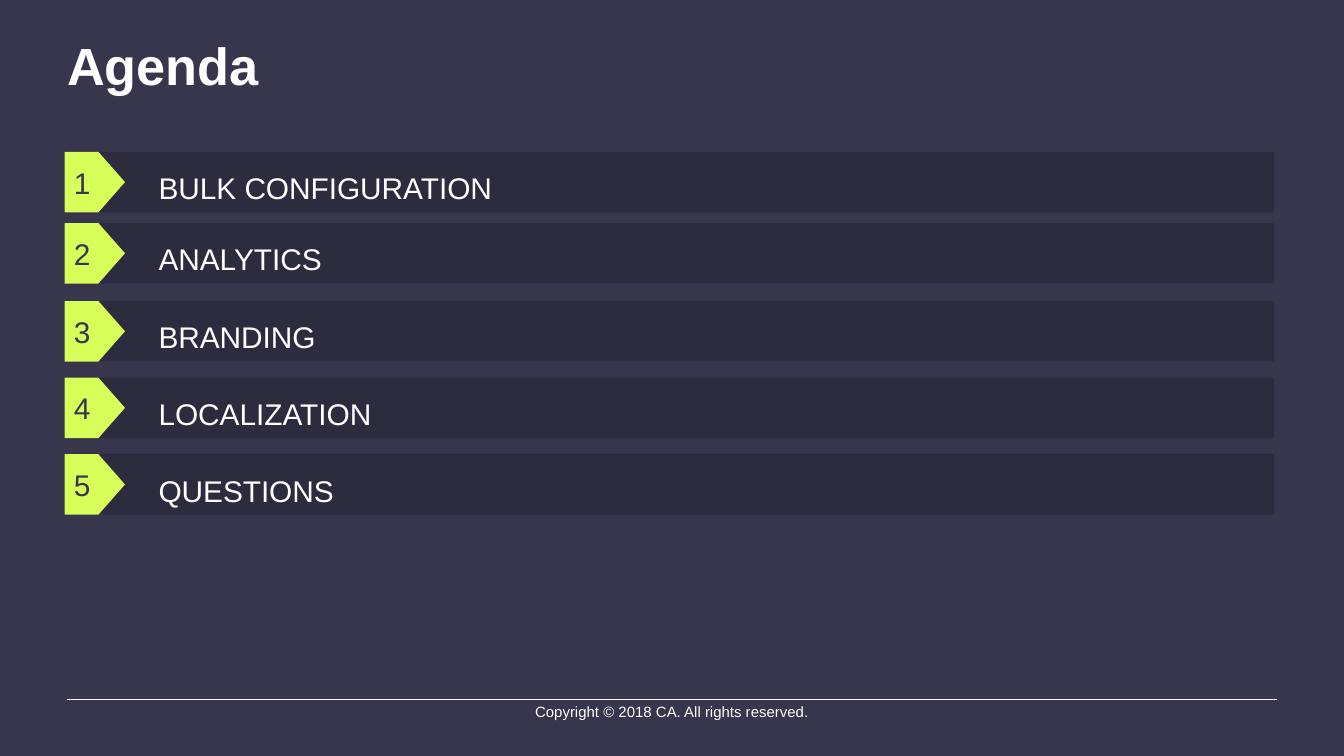
"""Build the agenda slide: a title, five numbered bars and a copyright footer."""
from lxml import etree
from pptx import Presentation
from pptx.dml.color import RGBColor
from pptx.enum.shapes import MSO_CONNECTOR, MSO_SHAPE
from pptx.enum.text import MSO_ANCHOR, MSO_AUTO_SIZE, PP_ALIGN
from pptx.oxml.ns import qn
from pptx.util import Inches, Pt

BAR, ARROW = MSO_SHAPE.RECTANGLE, MSO_SHAPE.PENTAGON
STRAIGHT = MSO_CONNECTOR.STRAIGHT
TOP, MIDDLE = MSO_ANCHOR.TOP, MSO_ANCHOR.MIDDLE
LEFT, CENTER = PP_ALIGN.LEFT, PP_ALIGN.CENTER
GROW = MSO_AUTO_SIZE.SHAPE_TO_FIT_TEXT

TITLE = "Agenda"
TOPICS = ["BULK CONFIGURATION", "ANALYTICS", "BRANDING", "LOCALIZATION", "QUESTIONS"]
COPYRIGHT = "Copyright © 2018 CA. All rights reserved."

THEME = {
    "font": "Arial",
    "background": "38364D", "text": "FFFFFF", "bar": "1C1B26", "accent": "D8FE59",
    "title_size": 28, "topic_size": 16, "footer_size": 8,
    "bar_opacity": 37, "rule_width": 0.25,
}

WIDTH = 10
HEIGHT = WIDTH * 9 / 16
MARGIN = WIDTH * 0.05
CONTENT = WIDTH - 2 * MARGIN
AGENDA_LEFT, ROW = 0.48, 0.45
FIRST_TOP, THIRD_TOP = 1.13, 2.24
FIRST_PITCH, PITCH = 0.53, 0.57
RULE_TOP = 5.2


def row_top(index):
    """Return the top of an agenda row; the first two sit closer together."""
    if index < 2:
        return FIRST_TOP + index * FIRST_PITCH
    return THIRD_TOP + (index - 2) * PITCH


def color(name):
    """Look up a theme colour."""
    return RGBColor.from_string(THEME[name])


def write(shape, text, size, ink, insets, frame_format, paragraph_format, bold=False):
    """Put one formatted paragraph into a shape."""
    frame = shape.text_frame
    sides = ("margin_left", "margin_top", "margin_right", "margin_bottom")
    margins = dict(zip(sides, map(Inches, insets)))
    paragraph = frame.paragraphs[0]
    paragraph.text = text
    font = paragraph.runs[0].font
    font_format = {"name": THEME["font"], "size": Pt(THEME[size]), "bold": bold}
    for target, values in (
        (frame, {"word_wrap": True, **margins, **frame_format}),
        (paragraph, {"alignment": LEFT, **paragraph_format}),
        (font, font_format),
    ):
        for attribute, value in values.items():
            setattr(target, attribute, value)
    font.color.rgb = color(ink)


def add_block(slide, kind, box, fill):
    """Add a filled shape without outline or shadow."""
    block = slide.shapes.add_shape(kind, *map(Inches, box))
    block.shadow.inherit = False
    block.fill.solid()
    block.fill.fore_color.rgb = color(fill)
    block.line.fill.background()
    return block


def add_topic(slide, index, topic):
    """Add one translucent bar with its topic."""
    box = (AGENDA_LEFT, row_top(index), CONTENT, ROW)
    bar = add_block(slide, BAR, box, "bar")
    solid = bar.element.spPr.find(qn("a:solidFill"))
    opacity = etree.SubElement(solid[0], qn("a:alpha"))
    opacity.set("val", str(THEME["bar_opacity"] * 1000))
    write(bar, topic, "topic_size", "text", (0.7, 0.1, 0.1, 0.15),
          {"vertical_anchor": MIDDLE}, {"line_spacing": Pt(28.8)})


def add_number(slide, index):
    """Add one numbered arrow at the start of a bar."""
    box = (AGENDA_LEFT, row_top(index), ROW, ROW)
    arrow = add_block(slide, ARROW, box, "accent")
    arrow.adjustments[0] = 0.44
    write(arrow, str(index + 1), "topic_size", "background", (0.07, 0, 0, 0),
          {"vertical_anchor": MIDDLE}, {})


def add_footer(slide):
    """Add the rule and the centred copyright line."""
    ends = (MARGIN, RULE_TOP, MARGIN + CONTENT, RULE_TOP)
    rule = slide.shapes.add_connector(STRAIGHT, *map(Inches, ends))
    rule.line.color.rgb = color("text")
    rule.line.width = Pt(THEME["rule_width"])
    etree.SubElement(rule.element.spPr, qn("a:effectLst"))
    width = 2.21
    box = ((WIDTH - width) / 2, RULE_TOP - 0.01, width, 0.22)
    footer = slide.shapes.add_textbox(*map(Inches, box))
    write(footer, COPYRIGHT, "footer_size", "text", (0.04,) * 4,
          {"word_wrap": False, "auto_size": GROW}, {"alignment": CENTER})


def main():
    """Assemble and save the slide."""
    deck = Presentation()
    deck.slide_width, deck.slide_height = Inches(WIDTH), Inches(HEIGHT)
    slide = deck.slides.add_slide(deck.slide_layouts[6])
    slide.background.fill.solid()
    slide.background.fill.fore_color.rgb = color("background")

    add_footer(slide)
    title = slide.shapes.add_textbox(*map(Inches, (MARGIN, 0.25, CONTENT, 0.53)))
    write(title, TITLE, "title_size", "text", (0, 0.05, 0.1, 0.05),
          {"vertical_anchor": TOP, "auto_size": GROW}, {"line_spacing": 0.9}, bold=True)
    for index, topic in enumerate(TOPICS):
        add_topic(slide, index, topic)
    for index in range(len(TOPICS)):
        add_number(slide, index)
    deck.save("out.pptx")


if __name__ == "__main__":
    main()
